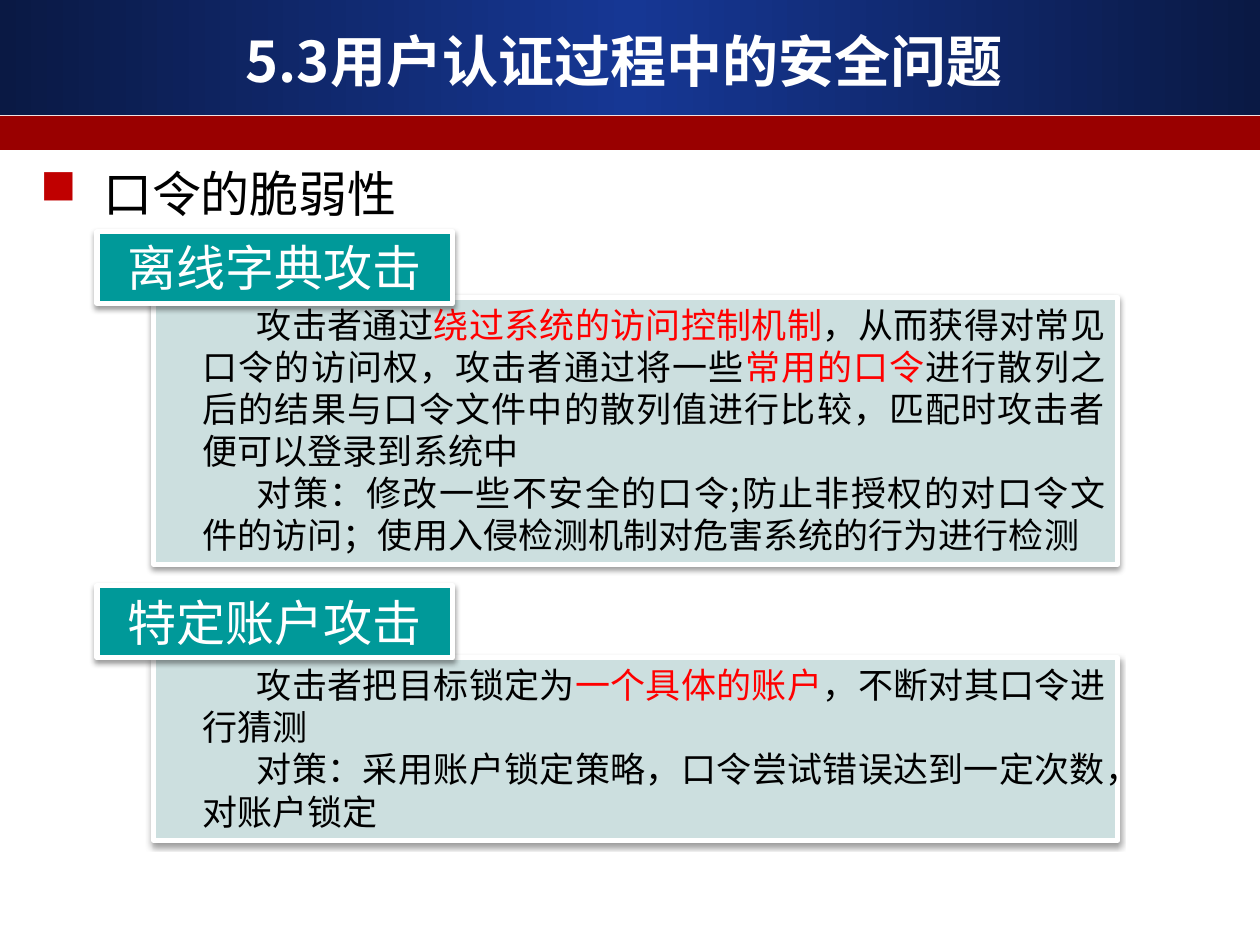
from lxml import etree
from pptx import Presentation
from pptx.dml.color import RGBColor
from pptx.enum.shapes import MSO_SHAPE
from pptx.enum.text import MSO_ANCHOR, PP_ALIGN
from pptx.oxml import parse_xml
from pptx.oxml.ns import nsdecls, qn
from pptx.util import Inches, Pt

RECT = MSO_SHAPE.RECTANGLE
TOP, MIDDLE = MSO_ANCHOR.TOP, MSO_ANCHOR.MIDDLE
LEFT, CENTER, JUSTIFY = PP_ALIGN.LEFT, PP_ALIGN.CENTER, PP_ALIGN.JUSTIFY
FONT = "Noto Sans CJK SC"
C = {"white": "FFFFFF", "black": "000000", "red": "FF0000", "bullet": "C00000",
     "edge": "0A1944", "blue": "163794", "band": "990000",
     "label": "009999", "panel": "CCDFDF"}
W, H = 10, 7.5

prs = Presentation()
prs.slide_width, prs.slide_height = Inches(W), Inches(H)
s = prs.slides.add_slide(prs.slide_layouts[6])


def box(x, y, w, h, fill, line=0, shadow=False):
    sp = s.shapes.add_shape(RECT, Inches(x), Inches(y), Inches(w), Inches(h))
    sp.shadow.inherit = False
    sp.fill.solid()
    sp.fill.fore_color.rgb = RGBColor.from_string(C[fill])
    if line:
        sp.line.color.rgb = RGBColor.from_string(C["white"])
        sp.line.width = Pt(line)
    else:
        sp.line.fill.background()
    if shadow:
        sp._element.spPr.find(qn("a:effectLst")).append(parse_xml(
            f'<a:outerShdw {nsdecls("a")} blurRad="{Pt(3.1)}" dist="{Pt(1.6)}" '
            'dir="5400000" rotWithShape="0"><a:srgbClr val="000000">'
            '<a:alpha val="38000"/></a:srgbClr></a:outerShdw>'))
    return sp


def write(sp, paragraphs, size, color="black", align=LEFT, anchor=TOP,
          bold=False, spacing=1.2, margin=0, indent=0):
    """Each paragraph is a list of runs; every second run is red."""
    tf = sp.text_frame
    tf.word_wrap = True
    tf.vertical_anchor = anchor
    for i, runs in enumerate(paragraphs):
        p = tf.paragraphs[0] if i == 0 else tf.add_paragraph()
        p.alignment = align
        if spacing:
            p.line_spacing = Pt(size * spacing)
        pPr = p._p.get_or_add_pPr()
        pPr.set("marL", str(Inches(margin)))
        pPr.set("indent", str(Inches(indent)))
        for j, text in enumerate(runs):
            r = p.add_run()
            r.text = text
            r.font.size, r.font.bold, r.font.name = Pt(size), bold, FONT
            r.font.color.rgb = RGBColor.from_string(C["red" if j % 2 else color])
            etree.SubElement(r._r.rPr, qn("a:ea"), typeface=FONT)


# Header: gradient bar, red band and title
bar = box(0, 0, W, 0.91, "blue")
bar.fill.gradient()
bar.fill.gradient_angle = 0
gs = bar._element.spPr.find(qn("a:gradFill")).find(qn("a:gsLst"))
for stop in list(gs):
    gs.remove(stop)
for pos, name in ((0, "edge"), (50000, "blue"), (100000, "edge")):
    stop = etree.SubElement(gs, qn("a:gs"), pos=str(pos))
    etree.SubElement(stop, qn("a:srgbClr"), val=C[name])
box(0, 0.92, W, 0.27, "band")
title = s.shapes.add_textbox(Inches(0.33), Inches(0.17), Inches(9.25), Inches(0.62))
write(title, [["5.3用户认证过程中的安全问题"]], 32, "white", CENTER, MIDDLE,
      bold=True, spacing=None)

# Bulleted heading
sp = box(0.22, 1.25, 9.02, 0.57, "white", 2)
write(sp, [["口令的脆弱性"]], 28, margin=0.5, indent=-0.5)
pPr = sp.text_frame.paragraphs[0]._p.pPr
etree.SubElement(etree.SubElement(pPr, qn("a:buClr")), qn("a:srgbClr"), val=C["bullet"])
etree.SubElement(pPr, qn("a:buFont"), typeface="Wingdings", charset="2")
etree.SubElement(pPr, qn("a:buChar"), char="n")

# Attacks: label top, panel top, panel height, label, paragraphs
ATTACKS = [
    (1.84, 2.36, 2.12, "离线字典攻击", [
        ["攻击者通过", "绕过系统的访问控制机制",
         "，从而获得对常见口令的访问权，攻击者通过将一些", "常用的口令",
         "进行散列之后的结果与口令文件中的散列值进行比较，匹配时攻击者便可以登录到系统中"],
        ["对策：修改一些不安全的口令;防止非授权的对口令文件的访问；"
         "使用入侵检测机制对危害系统的行为进行检测"]]),
    (4.65, 5.22, 1.45, "特定账户攻击", [
        ["攻击者把目标锁定为", "一个具体的账户", "，不断对其口令进行猜测"],
        ["对策：采用账户锁定策略，口令尝试错误达到一定次数，对账户锁定"]]),
]
for label_y, panel_y, panel_h, label, paragraphs in ATTACKS:
    sp = box(1.22, panel_y, 7.65, panel_h, "panel", 3, shadow=True)
    write(sp, paragraphs, 20, align=JUSTIFY, margin=0.29, indent=0.43)
    sp = box(0.77, label_y, 2.82, 0.57, "label", 3, shadow=True)
    write(sp, [[label]], 28, "white", CENTER)

prs.save("out.pptx")
